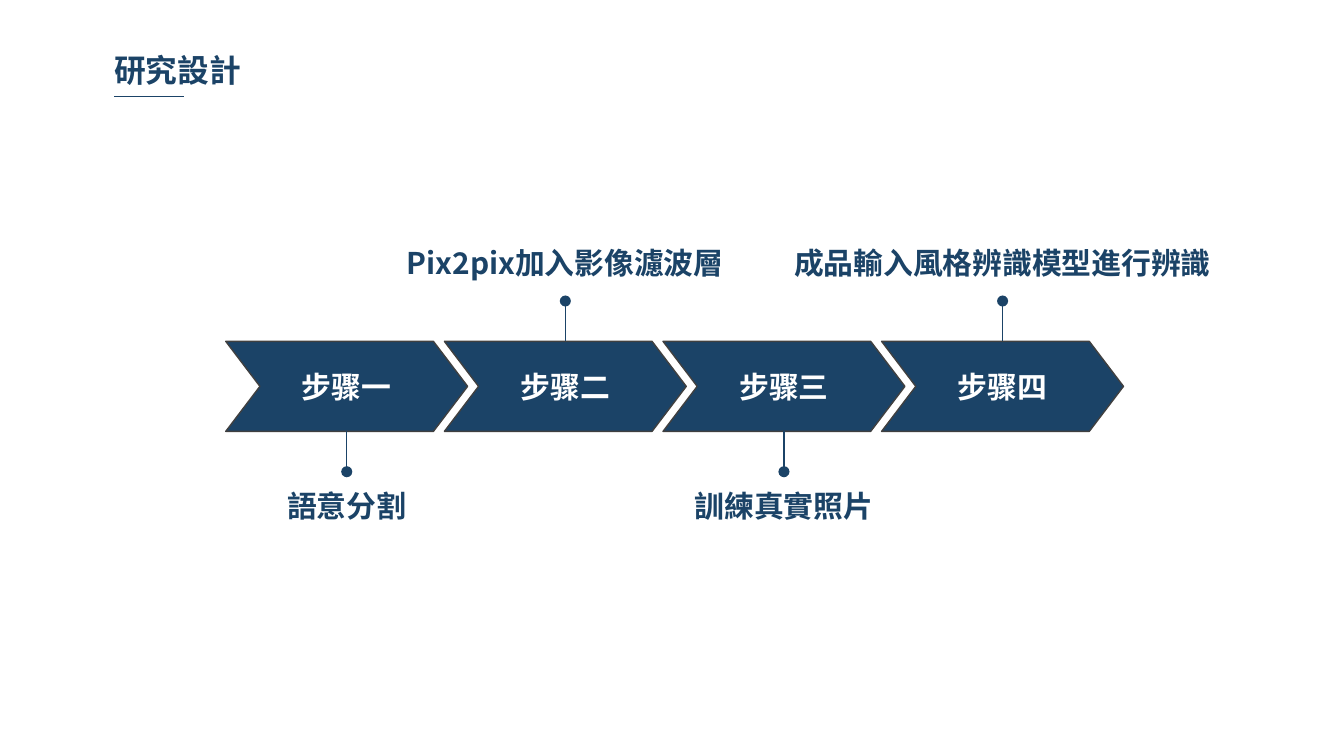
from dataclasses import dataclass

from lxml import etree
from pptx import Presentation
from pptx.dml.color import RGBColor
from pptx.enum.shapes import MSO_CONNECTOR, MSO_SHAPE
from pptx.enum.text import MSO_ANCHOR, MSO_AUTO_SIZE, PP_ALIGN
from pptx.oxml.ns import qn
from pptx.util import Inches, Pt

CHEVRON = MSO_SHAPE.CHEVRON
STRAIGHT = MSO_CONNECTOR.STRAIGHT
TOP, MIDDLE = MSO_ANCHOR.TOP, MSO_ANCHOR.MIDDLE
LEFT, CENTER = PP_ALIGN.LEFT, PP_ALIGN.CENTER
GROW = MSO_AUTO_SIZE.SHAPE_TO_FIT_TEXT


@dataclass(frozen=True)
class Theme:
    """Colours, type and line sizes of the slide."""
    font: str = "Noto Sans CJK SC"
    navy: str = "1B4367"
    edge: str = "404040"
    white: str = "FFFFFF"
    title: int = 17
    body: int = 16
    line: float = 0.75


THEME = Theme()
WIDTH = 10
HEIGHT = WIDTH * 9 / 16
STEPS = [
    ("步骤一", "語意分割", 1.05),
    ("步骤二", "Pix2pix加入影像濾波層", 2.55),
    ("步骤三", "訓練真實照片", 1.5),
    ("步骤四", "成品輸入風格辨識模型進行辨識", 3.29),
]


def rgb(value):
    """Turn a hex string into a colour."""
    return RGBColor.from_string(value)


def write(sp, text, size=THEME.body, color=THEME.navy, align=CENTER, anchor=TOP, wrap=True):
    """Put one formatted bold line of text into a shape."""
    tf = sp.text_frame
    tf.word_wrap = wrap
    tf.vertical_anchor = anchor
    tf.margin_left = tf.margin_right = Inches(0.07)
    tf.margin_top = tf.margin_bottom = Inches(0.04)
    p = tf.paragraphs[0]
    p.alignment = align
    r = p.add_run()
    r.text = text
    r.font.size = Pt(size)
    r.font.bold = True
    r.font.color.rgb = rgb(color)
    r.font.name = THEME.font
    etree.SubElement(r.font._element, qn("a:ea"), typeface=THEME.font)


def add_text(s, box, text, **fmt):
    """Add a text box that grows with its text."""
    sp = s.shapes.add_textbox(*map(Inches, box))
    write(sp, text, **fmt)
    sp.text_frame.auto_size = GROW


def add_line(s, start, end, dot=False):
    """Add a thin line, with an optional dot at its end."""
    sp = s.shapes.add_connector(STRAIGHT, *map(Inches, (*start, *end)))
    sp.line.color.rgb = rgb(THEME.navy)
    sp.line.width = Pt(THEME.line)
    if dot:
        etree.SubElement(sp.line._get_or_add_ln(), qn("a:tailEnd"), type="oval")
    etree.SubElement(sp._element.spPr, qn("a:effectLst"))


def add_chevron(s, box, text):
    """Add one step arrow with its name."""
    sp = s.shapes.add_shape(CHEVRON, *map(Inches, box))
    sp.adjustments[0] = 0.38
    sp.shadow.inherit = False
    sp.fill.solid()
    sp.fill.fore_color.rgb = rgb(THEME.navy)
    sp.line.color.rgb = rgb(THEME.edge)
    sp.line.width = Pt(THEME.line)
    write(sp, text, color=THEME.white, anchor=MIDDLE)


def add_title(s, box, text):
    """Add the heading and the short rule below it."""
    x, y, w, h = box
    add_text(s, box, text, size=THEME.title, align=LEFT)
    rule_y = y + h + 0.02
    add_line(s, (x + 0.07, rule_y), (x + 0.59, rule_y))


def add_process(s, box, steps):
    """Spread steps across the box, with labels below and above in turn."""
    x, y, w, h = box
    step_w, stem, gap, label_h = 1.8, 0.3, 0.08, 0.35
    pitch = (w - step_w) / (len(steps) - 1)
    for i, (name, label, label_w) in enumerate(steps):
        left = x + i * pitch
        mid = left + step_w / 2
        add_chevron(s, (left, y, step_w, h), name)
        if i % 2 == 0:
            start, end = y + h, y + h + stem
            label_y = end + gap
        else:
            start, end = y, y - stem
            label_y = end - gap - label_h - 0.03
        add_line(s, (mid, start), (mid, end), dot=True)
        add_text(s, (mid - label_w / 2, label_y, label_w, label_h), label, wrap=False)


def main():
    """Build and save the slide."""
    prs = Presentation()
    prs.slide_width, prs.slide_height = Inches(WIDTH), Inches(HEIGHT)
    s = prs.slides.add_slide(prs.slide_layouts[6])
    add_title(s, (0.78, 0.34, 2.47, 0.36), "研究設計")
    add_process(s, (1.68, 2.54, 6.68, 0.67), STEPS)
    prs.save("out.pptx")


if __name__ == "__main__":
    main()
